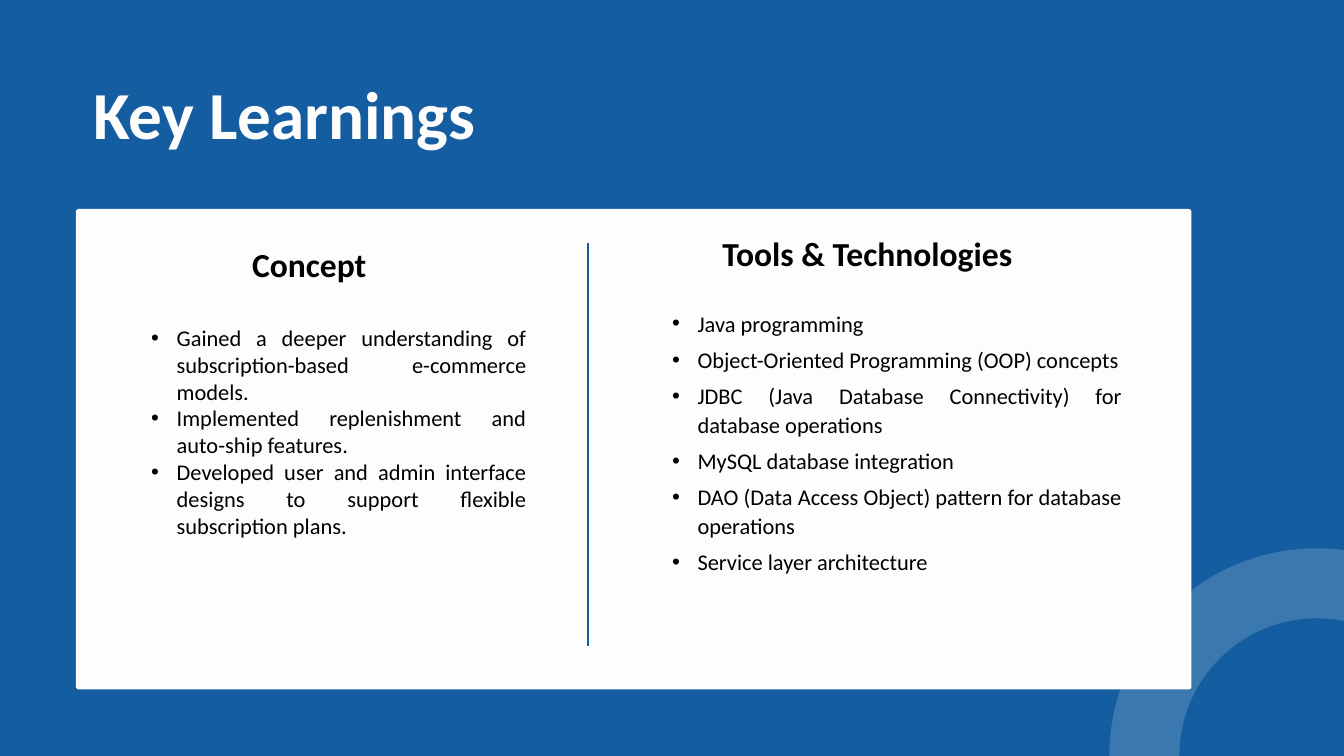
"""Build the Key Learnings slide: a white card with two bulleted columns."""
from dataclasses import dataclass

import lxml.etree
import pptx
import pptx.dml.color
import pptx.enum.shapes
import pptx.enum.text
import pptx.oxml.ns
import pptx.util

WIDE, HIGH = pptx.util.Inches(20), pptx.util.Inches(11.25)
COLS, ROWS = 80, 45
FONT = "Calibri"
INK = {"blue": "145DA0", "card": "FDFDFD", "white": "FFFFFF", "black": "000000"}
qn = pptx.oxml.ns.qn
SHAPES = pptx.enum.shapes.MSO_SHAPE


@dataclass(frozen=True)
class Box:
    col: float
    row: float
    cols: float
    rows: float

    def place(self) -> tuple[int, int, int, int]:
        return (int(WIDE * self.col / COLS), int(HIGH * self.row / ROWS),
                int(WIDE * self.cols / COLS), int(HIGH * self.rows / ROWS))


@dataclass(frozen=True)
class Label:
    box: Box
    text: str
    size: float
    ink: str = "black"
    lead: float | None = None


@dataclass(frozen=True)
class Points:
    box: Box
    lines: tuple[str, ...]
    lead: float = 1.0
    gap: float = 0


LABELS = (
    Label(Box(5.56, 3.96, 25.28, 4.92), "Key Learnings", 72, "card", 92.5),
    Label(Box(15, 14.52, 9.92, 2.44), "Concept", 36),
    Label(Box(43, 13.88, 18.2, 2.44), "Tools & Technologies", 36),
)
POINTS = (
    Points(Box(9, 19.28, 22.32, 13.24), (
        "Gained a deeper understanding of subscription-based e-commerce models.",
        "Implemented replenishment and auto-ship features.",
        "Developed user and admin interface designs to support flexible subscription plans.",
    )),
    Points(Box(40, 18.32, 26.76, 16), (
        "Java programming",
        "Object-Oriented Programming (OOP) concepts",
        "JDBC (Java Database Connectivity) for database operations",
        "MySQL database integration",
        "DAO (Data Access Object) pattern for database operations",
        "Service layer architecture",
    ), 1.07, 8),
)


def tint(name: str) -> pptx.dml.color.RGBColor:
    return pptx.dml.color.RGBColor.from_string(INK[name])


def add_frame(slide, box: Box, text: str):
    frame = slide.shapes.add_textbox(*box.place()).text_frame
    frame.margin_left = frame.margin_right = 0
    frame.margin_top = frame.margin_bottom = 0
    frame.word_wrap = True
    frame.auto_size = pptx.enum.text.MSO_AUTO_SIZE.SHAPE_TO_FIT_TEXT
    frame.text = text
    return frame


def style(para, size: float, ink: str, bold: bool) -> None:
    for run in para.runs:
        run.font.name, run.font.size = FONT, pptx.util.Pt(size)
        run.font.bold, run.font.color.rgb = bold, tint(ink)


def draw_label(slide, label: Label) -> None:
    para = add_frame(slide, label.box, label.text).paragraphs[0]
    if label.lead:
        para.line_spacing = pptx.util.Pt(label.lead)
    style(para, label.size, label.ink, True)


def draw_points(slide, points: Points) -> None:
    dent = pptx.util.Inches(0.38)
    for para in add_frame(slide, points.box, "\n".join(points.lines)).paragraphs:
        para.alignment = pptx.enum.text.PP_ALIGN.JUSTIFY
        para.line_spacing = points.lead
        para.space_after = pptx.util.Pt(points.gap)
        props = para._p.get_or_add_pPr()
        props.set("marL", str(dent))
        props.set("indent", str(-dent))
        lxml.etree.SubElement(props, qn("a:buFont"), typeface="Arial")
        lxml.etree.SubElement(props, qn("a:buChar"), char="•")
        style(para, 24, "black", False)


def draw_card(slide, box: Box) -> None:
    card = slide.shapes.add_shape(SHAPES.ROUNDED_RECTANGLE, *box.place())
    card.adjustments[0] = 0.006
    card.shadow.inherit = False
    card.fill.solid()
    card.fill.fore_color.rgb = tint("card")
    card.line.fill.background()


def draw_ring(slide, box: Box) -> None:
    ring = slide.shapes.add_shape(SHAPES.OVAL, *box.place())
    ring.shadow.inherit = False
    ring.fill.background()
    ring.line.width = pptx.util.Pt(75)
    ring.line.color.rgb = tint("white")
    shade = ring.element.find(".//" + qn("a:ln")).find(".//" + qn("a:srgbClr"))
    lxml.etree.SubElement(shade, qn("a:alpha"), val="16000")


def draw_rule(slide, box: Box) -> None:
    left, top, wide, high = box.place()
    rule = slide.shapes.add_connector(
        pptx.enum.shapes.MSO_CONNECTOR.STRAIGHT, left, top, left + wide, top + high)
    rule.line.width = pptx.util.Pt(3)
    rule.line.color.rgb = tint("blue")
    lxml.etree.SubElement(rule.element.spPr, qn("a:effectLst"))


def main() -> None:
    deck = pptx.Presentation()
    deck.slide_width, deck.slide_height = WIDE, HIGH
    slide = deck.slides.add_slide(deck.slide_layouts[6])
    slide.background.fill.solid()
    slide.background.fill.fore_color.rgb = tint("blue")
    draw_card(slide, Box(4.52, 12.44, 66.4, 28.6))
    draw_ring(slide, Box(68.12, 34.72, 20.52, 20.52))
    draw_rule(slide, Box(35, 14.44, 0, 24.04))
    for label in LABELS:
        draw_label(slide, label)
    for points in POINTS:
        draw_points(slide, points)
    deck.save("out.pptx")


if __name__ == "__main__":
    main()
